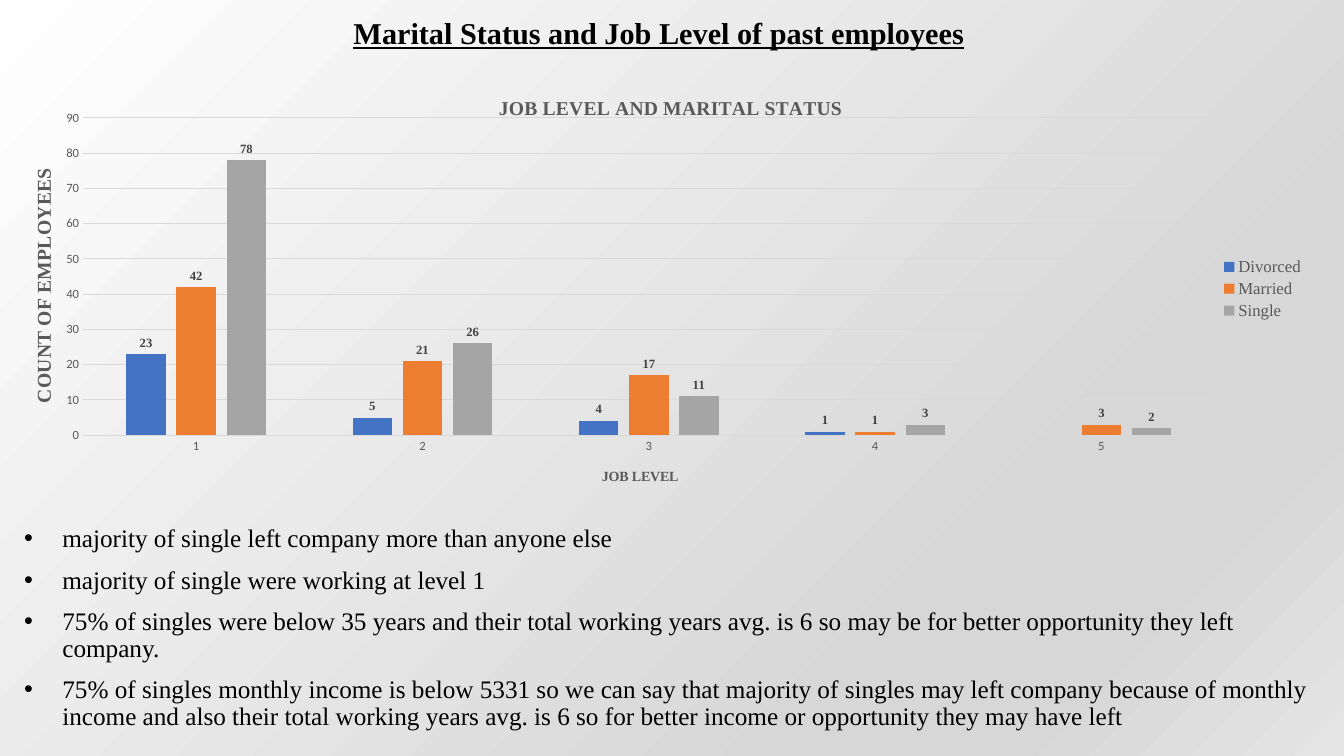
from lxml.etree import SubElement
from pptx import Presentation
from pptx.chart.data import CategoryChartData
from pptx.dml.color import RGBColor
from pptx.enum.chart import XL_CHART_TYPE, XL_LABEL_POSITION, XL_LEGEND_POSITION, XL_TICK_MARK
from pptx.enum.text import MSO_ANCHOR, MSO_AUTO_SIZE, PP_ALIGN
from pptx.oxml.ns import qn
from pptx.util import Emu, Pt

PX = 9144  # 100 px to the inch


def px(length):
    return Emu(length * PX)


def color(hex_string):
    return RGBColor.from_string(hex_string)


def set_layout(layout, **settings):
    """Give a chart part a fixed place, in fractions of the chart."""
    manual = SubElement(layout, qn("c:manualLayout"))
    for tag, value in settings.items():
        SubElement(manual, qn(f"c:{tag}")).set("val", str(value))


class SlideBuilder:
    SERIF, SANS = "Times New Roman", "Calibri"
    INK, MUTED, LABEL, RULE = "000000", "595959", "404040", "D9D9D9"

    def __init__(self, presentation):
        self.slide = presentation.slides.add_slide(presentation.slide_layouts[5])

    def style(self, font, size, hex_string, face=SERIF, bold=False):
        font.name, font.size, font.bold = face, Pt(size), bold
        font.color.rgb = color(hex_string)

    def background(self, stops):
        fill = self.slide.background.fill
        fill.gradient()
        fill.gradient_angle = 315
        stop_list = self.slide.element.find(".//" + qn("a:gsLst"))
        for stop in list(stop_list):
            stop_list.remove(stop)
        for percent, hex_string in stops:
            stop = SubElement(stop_list, qn("a:gs"), pos=str(percent * 1000))
            SubElement(stop, qn("a:srgbClr"), val=hex_string)

    def title(self, text, left, top, width, height):
        heading = self.slide.shapes.title
        heading.left, heading.top = px(left), px(top)
        heading.width, heading.height = px(width), px(height)
        frame = heading.text_frame
        frame.word_wrap = True
        frame.auto_size = MSO_AUTO_SIZE.NONE
        frame.vertical_anchor = MSO_ANCHOR.BOTTOM
        paragraph = frame.paragraphs[0]
        paragraph.alignment = PP_ALIGN.CENTER
        paragraph.line_spacing = 0.9
        run = paragraph.add_run()
        run.text = text
        self.style(run.font, 21.6, self.INK, bold=True)
        run.font.underline = True

    def bullets(self, lines, left, top, width, height, indent):
        box = self.slide.shapes.add_textbox(px(left), px(top), px(width), px(height))
        frame = box.text_frame
        frame.word_wrap = True
        for index, line in enumerate(lines):
            paragraph = frame.add_paragraph() if index else frame.paragraphs[0]
            paragraph.line_spacing = 0.9
            paragraph.space_before = Pt(10)
            run = paragraph.add_run()
            run.text = line
            self.style(run.font, 18, self.INK)
            # Hanging bullet
            properties = paragraph._p.get_or_add_pPr()
            properties.set("marL", str(px(indent)))
            properties.set("indent", str(-px(indent)))
            SubElement(properties, qn("a:buFont"), typeface="Arial")
            SubElement(properties, qn("a:buChar"), char="•")

    def chart_title(self, title, text, size, x, y, rotation=0):
        frame = title.text_frame
        run = frame.paragraphs[0].add_run()
        run.text = text
        self.style(run.font, size, self.MUTED, bold=True)
        title.element.find(".//" + qn("a:bodyPr")).set("rot", str(rotation * 60000))
        set_layout(title.element.find(qn("c:layout")),
                   xMode="edge", yMode="edge", x=x, y=y)

    def column_chart(self, categories, series, left, top, width, height):
        data = CategoryChartData()
        data.categories = categories
        for name, values, _ in series:
            data.add_series(name, values)
        chart = self.slide.shapes.add_chart(
            XL_CHART_TYPE.COLUMN_CLUSTERED,
            px(left), px(top), px(width), px(height), data).chart
        self.style(chart.font, 10, self.INK, self.SANS)

        # Columns and their values
        plot = chart.plots[0]
        plot.gap_width, plot.overlap, plot.vary_by_categories = 219, -27, False
        for columns, (_, _, hex_string) in zip(plot.series, series):
            columns.format.fill.solid()
            columns.format.fill.fore_color.rgb = color(hex_string)
            labels = columns.data_labels
            labels.show_value = True
            labels.position = XL_LABEL_POSITION.OUTSIDE_END
            self.style(labels.font, 9, self.LABEL, bold=True)

        # Axes and gridlines
        levels, counts = chart.category_axis, chart.value_axis
        for axis in (levels, counts):
            axis.major_tick_mark = axis.minor_tick_mark = XL_TICK_MARK.NONE
            self.style(axis.tick_labels.font, 9, self.MUTED, self.SANS)
        counts.minimum_scale, counts.maximum_scale, counts.major_unit = 0, 90, 10
        counts.has_major_gridlines = True
        counts.format.line.fill.background()
        for line in (levels.format.line, counts.major_gridlines.format.line):
            line.color.rgb = color(self.RULE)
            line.width = Pt(0.75)

        # Legend
        chart.has_legend = True
        chart.legend.position = XL_LEGEND_POSITION.RIGHT
        chart.legend.include_in_layout = False
        self.style(chart.legend.font, 12, self.MUTED)

        # Plot area
        area = chart.element.find(".//" + qn("c:plotArea"))
        layout = area.find(qn("c:layout"))
        if layout is None:
            layout = SubElement(area, qn("c:layout"))
            area.insert(0, layout)
        set_layout(layout, layoutTarget="inner", xMode="edge", yMode="edge",
                   x=0.053, y=0.101, w=0.87, h=0.741)
        return chart


def main():
    presentation = Presentation()
    presentation.slide_width, presentation.slide_height = px(1333), px(750)
    builder = SlideBuilder(presentation)
    builder.background([(0, "FFFFFF"), (74, "D7D7D7"), (83, "D7D7D7"), (100, "E4E4E4")])
    builder.title("Marital Status and Job Level of past employees", 317, 7, 673, 49)

    # Leavers by job level and marital status
    leavers = builder.column_chart(
        ["1", "2", "3", "4", "5"],
        [("Divorced", (23, 5, 4, 1, None), "4472C4"),
         ("Married", (42, 21, 17, 1, 3), "ED7D31"),
         ("Single", (78, 26, 11, 3, 2), "A5A5A5")],
        14, 74, 1290, 425)
    builder.chart_title(leavers.chart_title, "JOB LEVEL AND MARITAL STATUS", 14, 0.37, 0.04)
    builder.chart_title(leavers.category_axis.axis_title, "JOB LEVEL", 10, 0.45, 0.91)
    builder.chart_title(leavers.value_axis.axis_title, "COUNT OF EMPLOYEES", 14,
                        0.01, 0.21, rotation=-90)

    # Findings
    builder.bullets([
        "majority of single left company more than anyone else",
        "majority of single were working at level 1",
        "75% of singles were below 35 years and their total working years avg. is 6 "
        "so may be for better opportunity they left company.",
        "75% of singles monthly income is below 5331 so we can say that majority of "
        "singles may left company because of monthly income and also their total working "
        "years avg. is 6 so for better income or opportunity they may have left",
    ], 14, 517, 1312, 226, indent=38)

    presentation.save("out.pptx")


if __name__ == "__main__":
    main()
